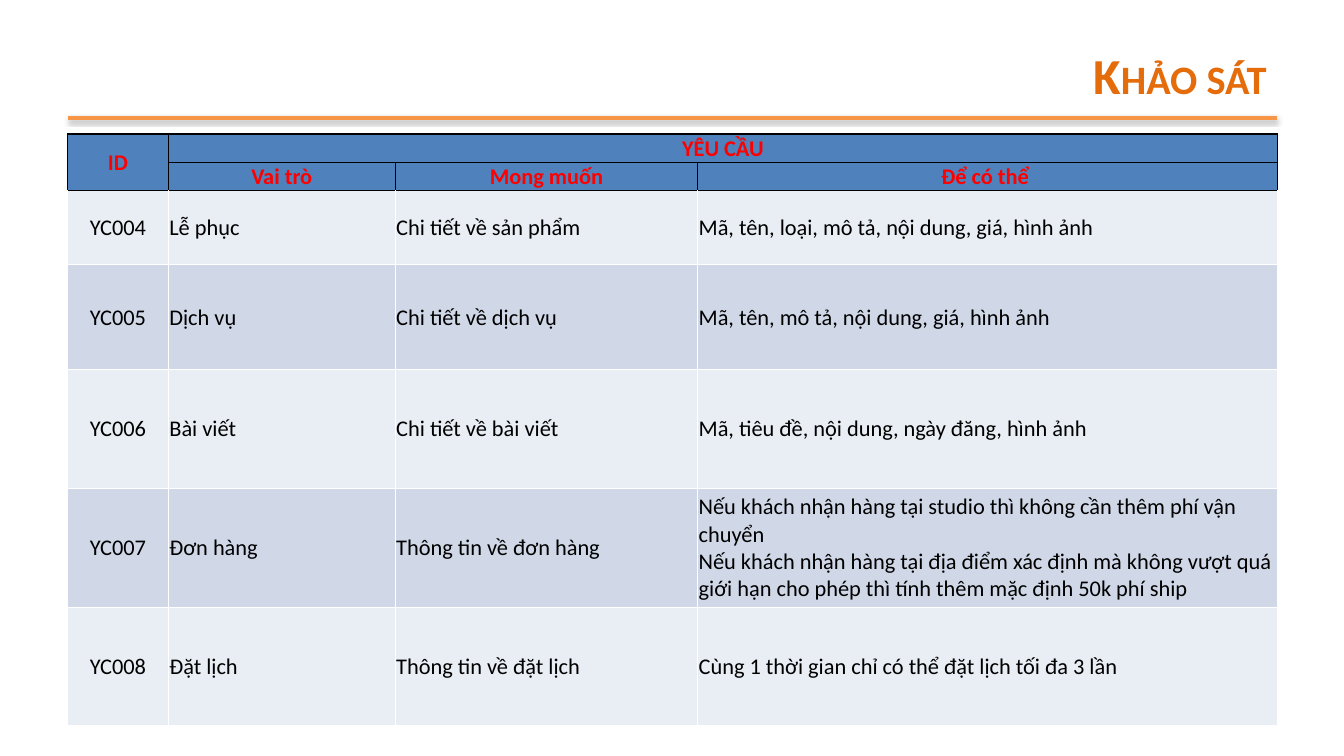
import pptx
import pptx.util
import pptx.dml.color
import pptx.enum.text
import pptx.enum.shapes
import pptx.oxml
import pptx.oxml.ns

Inches = pptx.util.Inches
Pt = pptx.util.Pt
ALIGN = pptx.enum.text.PP_ALIGN
ANCHOR = pptx.enum.text.MSO_ANCHOR
NS = pptx.oxml.ns.nsdecls("a")
COLORS = {
    "title": "E46C0A", "rule": "F79646", "head": "4F81BD", "label": "FF0000",
    "light": "E9EDF4", "dark": "D0D8E8", "black": "000000", "white": "FFFFFF",
}


def color(name):
    return pptx.dml.color.RGBColor.from_string(COLORS[name])


def write(frame, text, size=16, tint="black", bold=False, align=ALIGN.LEFT, caps=False):
    para = frame.paragraphs[0]
    para.text = text
    para.alignment = align
    for run in para.runs:
        run.font.name = "Calibri"
        run.font.size = Pt(size)
        run.font.bold = bold
        run.font.color.rgb = color(tint)
        if caps:
            run.font._element.set("cap", "small")


deck = pptx.Presentation()
deck.slide_width = Inches(13.33)
deck.slide_height = Inches(7.5)
slide = deck.slides.add_slide(deck.slide_layouts[6])

rule = slide.shapes.add_connector(
    pptx.enum.shapes.MSO_CONNECTOR.STRAIGHT,
    Inches(0.67), Inches(1.17), Inches(12.67), Inches(1.17))
rule.line.color.rgb = color("rule")
rule.line.width = Pt(3)
rule._element.spPr.append(pptx.oxml.parse_xml(
    f'<a:effectLst {NS}><a:outerShdw blurRad="{Pt(3.1)}" dist="{Pt(1.8)}" dir="5400000" rotWithShape="0">'
    f'<a:srgbClr val="{COLORS["black"]}"><a:alpha val="35000"/></a:srgbClr></a:outerShdw></a:effectLst>'))

rows = [
    ["ID", "YÊU CẦU", "", ""],
    ["", "Vai trò", "Mong muốn", "Để có thể "],
    ["YC004", "Lễ phục", "Chi tiết về sản phẩm", "Mã, tên, loại, mô tả, nội dung, giá, hình ảnh"],
    ["YC005", "Dịch vụ", "Chi tiết về dịch vụ", "Mã, tên, mô tả, nội dung, giá, hình ảnh"],
    ["YC006", "Bài viết", "Chi tiết về bài viết", "Mã, tiêu đề, nội dung, ngày đăng, hình ảnh"],
    ["YC007", "Đơn hàng", "Thông tin về đơn hàng",
     "Nếu khách nhận hàng tại studio thì không cần thêm phí vận chuyển\n"
     "Nếu khách nhận hàng tại địa điểm xác định mà không vượt quá giới hạn "
     "cho phép thì tính thêm mặc định 50k phí ship"],
    ["YC008", "Đặt lịch", "Thông tin về đặt lịch", "Cùng 1 thời gian chỉ có thể đặt lịch tối đa 3 lần"],
]
widths = [1, 2.25, 3, 5.75]
heights = [0.26, 0.26, 0.73, 1.04, 1.18, 1.18, 1.18]
table = slide.shapes.add_table(
    len(rows), len(widths), Inches(0.67), Inches(1.33), Inches(12), Inches(sum(heights))).table
for col, width in zip(table.columns, widths):
    col.width = Inches(width)
for row, height in zip(table.rows, heights):
    row.height = Inches(height)
table.cell(0, 0).merge(table.cell(1, 0))
table.cell(0, 1).merge(table.cell(0, 3))

for r, row in enumerate(rows):
    head = r < 2
    for c, text in enumerate(row):
        cell = table.cell(r, c)
        cell.margin_left = cell.margin_top = cell.margin_right = Inches(0.01)
        cell.margin_bottom = 0
        cell.vertical_anchor = ANCHOR.MIDDLE
        if text:
            write(cell.text_frame, text, tint="label" if head else "black", bold=head,
                  align=ALIGN.CENTER if head or c == 0 else ALIGN.LEFT)
        props = cell._tc.get_or_add_tcPr()
        for side in "LRTB":
            edge = "black" if head or (r == 2 and side == "T") else "white"
            props.append(pptx.oxml.parse_xml(
                f'<a:ln{side} {NS} w="{Pt(1)}"><a:solidFill>'
                f'<a:srgbClr val="{COLORS[edge]}"/></a:solidFill></a:ln{side}>'))
        cell.fill.solid()
        cell.fill.fore_color.rgb = color("head" if head else ("light", "dark")[r % 2])

title = slide.shapes.add_textbox(Inches(2.33), Inches(0.17), Inches(10.33), Inches(0.92)).text_frame
title.word_wrap = True
title.vertical_anchor = ANCHOR.BOTTOM
write(title, "Khảo sát", size=36, tint="title", bold=True, align=ALIGN.RIGHT, caps=True)

deck.save("out.pptx")
